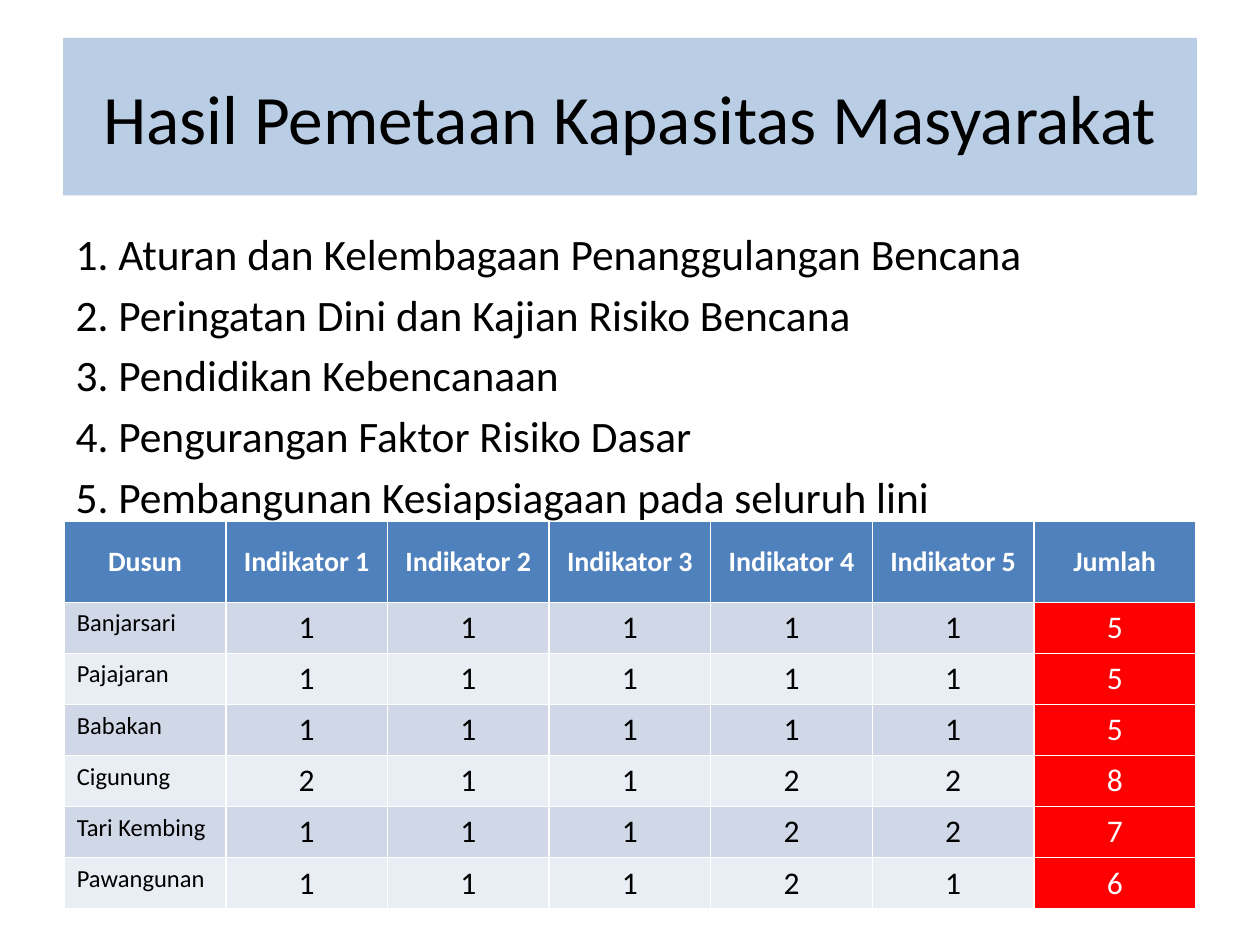
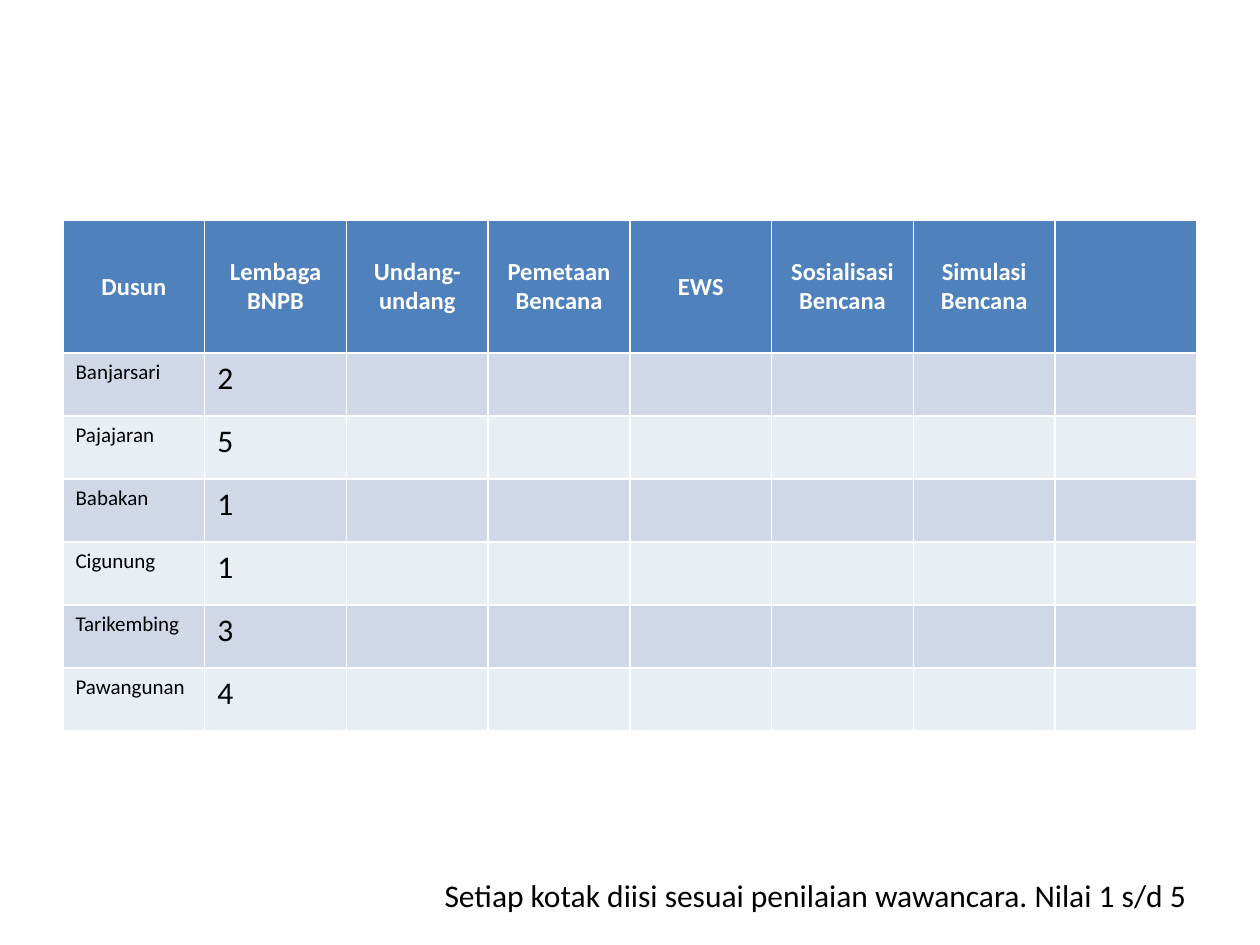
from lxml import etree
from pptx import Presentation
from pptx.dml.color import RGBColor
from pptx.enum.text import MSO_ANCHOR, MSO_AUTO_SIZE, PP_ALIGN
from pptx.oxml.ns import qn
from pptx.util import Inches, Pt

LEFT, CENTER = PP_ALIGN.LEFT, PP_ALIGN.CENTER
TOP, MIDDLE = MSO_ANCHOR.TOP, MSO_ANCHOR.MIDDLE
FONT = "Calibri"
COLORS = {
    "text": "000000",
    "light": "FFFFFF",
    "title_band": "B9CDE5",
    "header": "4F81BD",
    "odd_row": "D0D8E8",
    "even_row": "E9EDF4",
    "total": "FF0000",
}

TITLE = "Hasil Pemetaan Kapasitas Masyarakat"
INDICATORS = [
    "1. Aturan dan Kelembagaan Penanggulangan Bencana",
    "2. Peringatan Dini dan Kajian Risiko Bencana",
    "3. Pendidikan Kebencanaan",
    "4. Pengurangan Faktor Risiko Dasar",
    "5. Pembangunan Kesiapsiagaan pada seluruh lini",
]
CAPACITY_HEADER = ["Dusun", "Indikator 1", "Indikator 2", "Indikator 3",
                   "Indikator 4", "Indikator 5", "Jumlah"]
CAPACITY_ROWS = [
    ("Banjarsari", 1, 1, 1, 1, 1, 5),
    ("Pajajaran", 1, 1, 1, 1, 1, 5),
    ("Babakan", 1, 1, 1, 1, 1, 5),
    ("Cigunung", 2, 1, 1, 2, 2, 8),
    ("Tari Kembing", 1, 1, 1, 2, 2, 7),
    ("Pawangunan", 1, 1, 1, 2, 1, 6),
]
INTERVIEW_HEADER = ["Dusun", "Lembaga BNPB", "Undang-undang", "Pemetaan Bencana",
                    "EWS", "Sosialisasi Bencana", "Simulasi Bencana", ""]
INTERVIEW_ROWS = [
    ("Banjarsari", 2),
    ("Pajajaran", 5),
    ("Babakan", 1),
    ("Cigunung", 1),
    ("Tarikembing", 3),
    ("Pawangunan", 4),
]
SCORING_NOTE = "Setiap kotak diisi sesuai penilaian wawancara. Nilai 1 s/d 5"


def rgb(name):
    return RGBColor.from_string(COLORS[name])


def place(shape, left, top, width, height):
    shape.left, shape.top = Inches(left), Inches(top)
    shape.width, shape.height = Inches(width), Inches(height)


def fill(target, color):
    target.fill.solid()
    target.fill.fore_color.rgb = rgb(color)


def write(frame, *lines, size=18, color="text", bold=False, align=LEFT,
          gap=0, plain_list=False):
    """Put one paragraph per line in the frame, with gap points between them."""
    for index, line in enumerate(lines):
        paragraph = frame.paragraphs[0] if index == 0 else frame.add_paragraph()
        paragraph.text = line
        if plain_list:
            properties = paragraph._p.get_or_add_pPr()
            properties.set("marL", "0")
            properties.set("indent", "0")
            etree.SubElement(properties, qn("a:buNone"))
        paragraph.alignment = align
        paragraph.space_before = Pt(gap if index else 0)
        font = paragraph.font
        font.name, font.size, font.bold = FONT, Pt(size), bold
        font.color.rgb = rgb(color)


def add_score_table(slide, header, rows, box, header_height, row_height,
                    label_size, header_size, score_align, has_total=False):
    left, top, width = box
    height = header_height + row_height * len(rows)
    table = slide.shapes.add_table(
        len(rows) + 1, len(header), Inches(left), Inches(top),
        Inches(width), Inches(height)).table
    for column in table.columns:
        column.width = Inches(width / len(header))
    for index, row in enumerate(table.rows):
        row.height = Inches(row_height if index else header_height)

    for column, heading in enumerate(header):
        cell = table.cell(0, column)
        fill(cell, "header")
        cell.vertical_anchor = MIDDLE
        write(cell.text_frame, heading, size=header_size, color="light",
              bold=True, align=CENTER)
    for row, values in enumerate(rows, start=1):
        band = "odd_row" if row % 2 else "even_row"
        for column in range(len(header)):
            is_total = has_total and column == len(header) - 1
            value = str(values[column]) if column < len(values) else ""
            cell = table.cell(row, column)
            fill(cell, "total" if is_total else band)
            write(cell.text_frame, value,
                  size=18 if column else label_size,
                  color="light" if is_total else "text",
                  align=score_align if column else LEFT)


def build_capacity_slide(deck):
    slide = deck.slides.add_slide(deck.slide_layouts[1])
    title, body = slide.placeholders
    place(title, 0.5, 0.3, 9, 1.25)
    fill(title, "title_band")
    title.text_frame.vertical_anchor = MIDDLE
    write(title.text_frame, TITLE, size=39.6, align=CENTER)

    place(body, 0.5, 1.75, 9, 2.24)
    body.text_frame.auto_size = MSO_AUTO_SIZE.NONE
    body.text_frame.vertical_anchor = TOP
    write(body.text_frame, *INDICATORS, size=24.8, gap=5, plain_list=True)

    add_score_table(slide, CAPACITY_HEADER, CAPACITY_ROWS, (0.51, 4.14, 8.98),
                    header_height=0.64, row_height=0.4, label_size=14,
                    header_size=16, score_align=CENTER, has_total=True)


def build_interview_slide(deck):
    slide = deck.slides.add_slide(deck.slide_layouts[6])
    add_score_table(slide, INTERVIEW_HEADER, INTERVIEW_ROWS, (0.5, 1.75, 9),
                    header_height=1.05, row_height=0.5, label_size=12,
                    header_size=14, score_align=LEFT)
    note = slide.shapes.add_textbox(
        Inches(3.43), Inches(6.9), Inches(6.3), Inches(0.4))
    note.text_frame.word_wrap = True
    write(note.text_frame, SCORING_NOTE)


def main():
    deck = Presentation()
    deck.slide_width, deck.slide_height = Inches(10), Inches(7.5)
    build_capacity_slide(deck)
    build_interview_slide(deck)
    deck.save("out.pptx")


if __name__ == "__main__":
    main()
